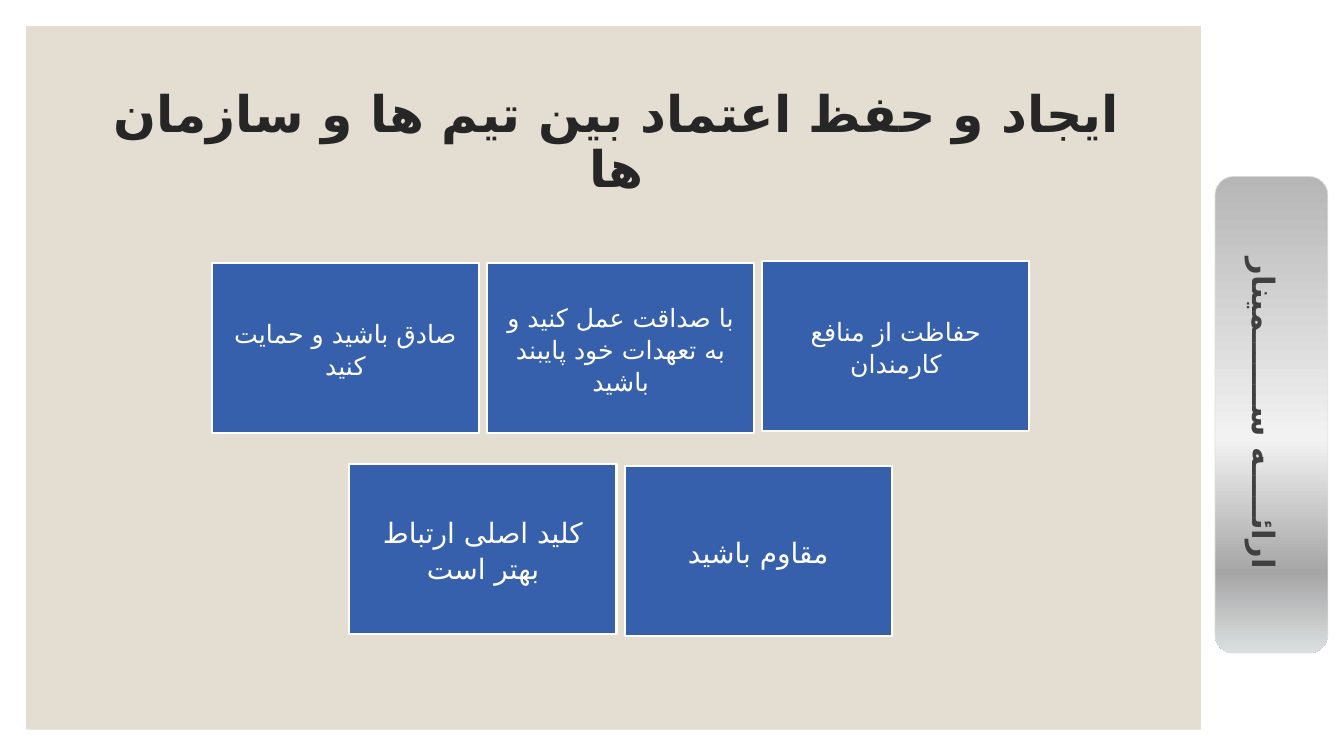
from lxml import etree
from pptx import Presentation
from pptx import util as u
from pptx.dml.color import RGBColor
from pptx.enum import shapes, text
from pptx.oxml import parse_xml
from pptx.oxml.ns import nsdecls, qn

FONT, ARABIC_FONT = "League Spartan", "DejaVu Sans"
COLORS = {"panel": "E3DED1", "tile": "3660AC", "white": "FFFFFF",
          "title": "262626", "sidebar": "404040", "edge": "DCDFE0"}
SIDEBAR_STOPS = [(0, "B6B6B6"), (55, "F2F2F2"), (83, "A6A6A6"), (100, "DCDFE0")]

# Tiles: column, row, upward nudge in inches, text size, wording
TILES = [
    (2, 0, 0.02, 18, "حفاظت از منافع کارمندان"),
    (1, 0, 0, 18, "با صداقت عمل کنید و به تعهدات خود پایبند باشید"),
    (0, 0, 0, 18, "صادق باشید و حمایت کنید"),
    (1.5, 1, 0, 20, "مقاوم باشید"),
    (0.5, 1, 0.02, 20, "کلید اصلی ارتباط بهتر است"),
]
GRID_LEFT, GRID_TOP = 2.1, 2.61
COLUMN_STEP, ROW_STEP = 2.73, 2.01
TILE_WIDTH, TILE_HEIGHT = 2.65, 1.69


def write(box, wording, size, color, bold=False, spacing=1.0):
    """Put one centred paragraph in the middle of a box."""
    frame = box.text_frame
    frame.word_wrap = True
    frame.auto_size = text.MSO_AUTO_SIZE.NONE
    frame.vertical_anchor = text.MSO_ANCHOR.MIDDLE
    para = frame.paragraphs[0]
    para.text = wording
    para.alignment = text.PP_ALIGN.CENTER
    para.line_spacing = spacing
    font = para.font
    font.name, font.size, font.bold = FONT, u.Pt(size), bold
    font.color.rgb = RGBColor.from_string(COLORS[color])
    complex_font = etree.SubElement(para._p.pPr.find(qn("a:defRPr")), qn("a:cs"))
    complex_font.set("typeface", ARABIC_FONT)
    return para


def add_block(kind, left, top, width, height, fill, line=None, weight=0):
    block = page.shapes.add_shape(kind, *map(u.Inches, (left, top, width, height)))
    block.shadow.inherit = False
    block.fill.solid()
    block.fill.fore_color.rgb = RGBColor.from_string(COLORS[fill])
    if line:
        block.line.color.rgb = RGBColor.from_string(COLORS[line])
        block.line.width = u.Pt(weight)
    else:
        block.line.fill.background()
    return block


deck = Presentation()
deck.slide_width, deck.slide_height = u.Inches(13.33), u.Inches(7.5)
page = deck.slides.add_slide(deck.slide_layouts[5])
title = page.shapes.title

# Background panel, kept behind the title
panel = add_block(shapes.MSO_SHAPE.RECTANGLE, 0.26, 0.26, 11.65, 6.98, "panel")
title._element.addprevious(panel._element)

# Sidebar with a vertical metallic gradient
sidebar = add_block(shapes.MSO_SHAPE.ROUNDED_RECTANGLE, 12.05, 1.75, 1.12, 4.73,
                    "edge", "edge", 0.5)
stops = "".join(f'<a:gs pos="{share * 1000}"><a:srgbClr val="{color}"/></a:gs>'
                for share, color in SIDEBAR_STOPS)
gradient = parse_xml(f'<a:gradFill {nsdecls("a")} rotWithShape="1"><a:gsLst>{stops}</a:gsLst>'
                     '<a:lin ang="5400000" scaled="0"/></a:gradFill>')
properties = sidebar._element.spPr
properties.replace(properties.find(qn("a:solidFill")), gradient)

label = page.shapes.add_textbox(*map(u.Inches, (10.15, 3.69, 4.78, 0.82)))
label.rotation = 90
write(label, "ارائـــــه ســـــــمینار", 22, "sidebar", bold=True)

# Title
title.left, title.top, title.width, title.height = map(u.Inches, (0.86, 0.7, 10.51, 1.45))
write(title, "ایجاد و حفظ اعتماد بین تیم ها و سازمان ها", 36, "title", bold=True, spacing=0.9)

# Tiles
for column, row, nudge, size, wording in TILES:
    tile = add_block(shapes.MSO_SHAPE.RECTANGLE, GRID_LEFT + column * COLUMN_STEP,
                     GRID_TOP + row * ROW_STEP - nudge, TILE_WIDTH, TILE_HEIGHT,
                     "tile", "white", 1.5)
    para = write(tile, wording, size, "white", spacing=1.07)
    para.space_after = u.Pt(8)
    para._p.pPr.set("rtl", "1")
    tile.text_frame.margin_left = tile.text_frame.margin_right = u.Inches(0.07)

deck.save("out.pptx")
